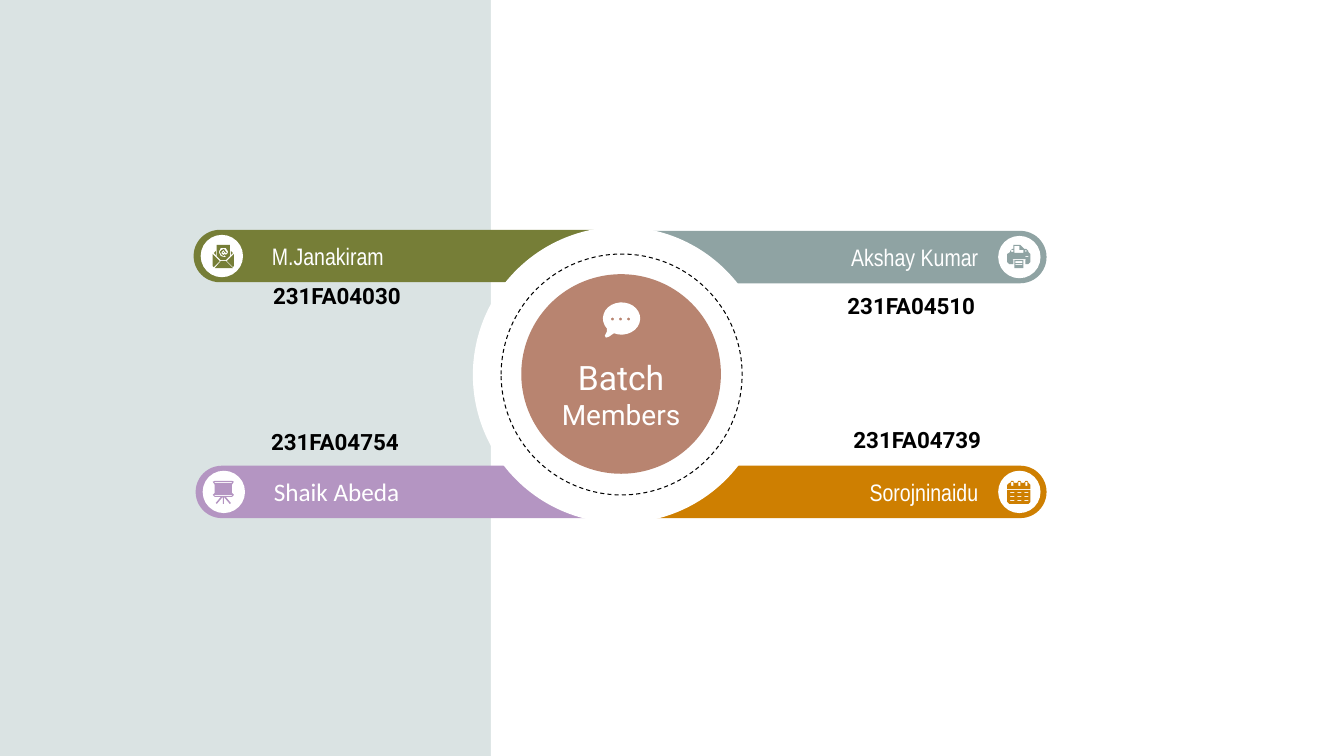
from math import cos, radians, sin

from pptx import Presentation
from pptx.dml.color import RGBColor
from pptx.enum.dml import MSO_LINE
from pptx.enum.shapes import MSO_SHAPE
from pptx.enum.text import MSO_ANCHOR, PP_ALIGN
from pptx.util import Inches, Pt

COLORS = {"mist": "DAE3E3", "white": "FFFFFF", "black": "000000",
          "olive": "767E37", "lilac": "B495C2", "sage": "8FA3A3",
          "amber": "CE7F01", "clay": "B88470"}
RECT, ROUND, OVAL = MSO_SHAPE.RECTANGLE, MSO_SHAPE.ROUNDED_RECTANGLE, MSO_SHAPE.OVAL
LEFT, RIGHT, CENTER = PP_ALIGN.LEFT, PP_ALIGN.RIGHT, PP_ALIGN.CENTER


def block(x, y, w, h):
    return [(x, y), (x + w, y), (x + w, y + h), (x, y + h)]


def arc(x, y, w, h, start=0, sweep=360, steps=8):
    angles = [radians(start + sweep * i / steps) for i in range(steps + 1)]
    return [(x + w / 2 * (1 + cos(a)), y + h / 2 * (1 + sin(a))) for a in angles]


class Deck:
    def __init__(self, prs):
        self.s = prs.slides.add_slide(prs.slide_layouts[6])

    def color(self, name):
        return RGBColor.from_string(COLORS[name])

    def background(self, name):
        fill = self.s.background.fill
        fill.solid()
        fill.fore_color.rgb = self.color(name)

    def paint(self, sp, fill):
        sp.shadow.inherit = False
        sp.line.fill.background()
        if fill:
            sp.fill.solid()
            sp.fill.fore_color.rgb = self.color(fill)
        else:
            sp.fill.background()
        return sp

    def shape(self, kind, box, fill, adj=None):
        sp = self.s.shapes.add_shape(kind, *map(Inches, box))
        if adj is not None:
            sp.adjustments[0] = adj
        return self.paint(sp, fill)

    def outline(self, fill, *contours):
        """Draw one freeform; contours inside another become holes."""
        grids = [[(round(x * 1000), round(y * 1000)) for x, y in c] for c in contours]
        fb = self.s.shapes.build_freeform(*grids[0][0], scale=Inches(1) / 1000)
        for i, grid in enumerate(grids):
            if i:
                fb.move_to(*grid[0])
            fb.add_line_segments(grid[1:], close=True)
        return self.paint(fb.convert_to_shape(), fill)

    def text(self, sp, lines, font, color, align, insets=(0.1, 0.1, 0.1, 0.1), bold=False):
        tf = sp.text_frame
        tf.word_wrap = True
        tf.vertical_anchor = MSO_ANCHOR.MIDDLE
        tf.margin_left, tf.margin_top, tf.margin_right, tf.margin_bottom = map(Inches, insets)
        for i, (words, size) in enumerate(lines):
            p = tf.add_paragraph() if i else tf.paragraphs[0]
            p.text, p.alignment = words, align
            p.font.name, p.font.size, p.font.bold = font, Pt(size), bold
            p.font.color.rgb = self.color(color)

    def member(self, name, number, x, y, fill, align, number_box, font="Arial Narrow", size=17):
        bar = self.shape(ROUND, (x, y, 4.22, 0.52), fill, 0.5)
        insets = (0.7, 0.1, 0.1, 0.1) if align == LEFT else (0.1, 0.1, 0.6, 0.1)
        self.text(bar, [(name, size)], font, "white", align, insets)
        tb = self.s.shapes.add_textbox(*map(Inches, number_box))
        self.text(tb, [(number, 16)], "Roboto", "black", align, bold=True)
        badge_x = x + 0.07 if align == LEFT else x + 3.74
        self.shape(OVAL, (badge_x, y + 0.05, 0.42, 0.42), "white")

    def printer(self, color):
        self.outline(color, block(10.06, 2.58, 0.09, 0.08),
                     block(10.07, 2.59, 0.07, 0.02), block(10.07, 2.62, 0.07, 0.01))
        body = [(10.05, 2.43), (10.12, 2.43), (10.16, 2.47), (10.18, 2.47), (10.2, 2.49),
                (10.2, 2.5), (10.22, 2.52), (10.22, 2.6), (10.2, 2.62), (10.17, 2.62),
                (10.17, 2.58), (10.18, 2.57), (10.04, 2.57), (10.05, 2.58), (10.05, 2.62),
                (10.01, 2.62), (9.99, 2.6), (9.99, 2.52), (10.02, 2.5), (10.02, 2.49),
                (10.04, 2.47), (10.05, 2.47)]
        sheet = [(10.06, 2.44), (10.11, 2.44), (10.11, 2.48), (10.15, 2.48),
                 (10.15, 2.51), (10.06, 2.51)]
        self.outline(color, body, sheet, block(10.03, 2.48, 0.02, 0.02),
                     block(10.17, 2.48, 0.01, 0.02), block(10.17, 2.54, 0.03, 0.01))

    def calendar(self, color):
        page = [(9.99, 4.86), (10.22, 4.86), (10.22, 4.98), (10.2, 5), (10.01, 5), (9.99, 4.98)]
        days = [block(10.02 + 0.07 * col, 4.88 + 0.04 * row, 0.04, 0.01)
                for row in range(3) for col in range(3)]
        self.outline(color, page, *days)
        top, slots = [(9.99, 4.85), (9.99, 4.81), (10.01, 4.79)], []
        for x in (10.02, 10.09, 10.16):
            top += [(x, 4.79), (x + 0.01, 4.77), (x + 0.03, 4.77), (x + 0.04, 4.79)]
            slots.append(block(x + 0.01, 4.78, 0.02, 0.04))
        self.outline(color, top + [(10.22, 4.81), (10.22, 4.85)], *slots)

    def easel(self, color):
        frame = [(2.13, 4.77), (2.3, 4.77), (2.32, 4.78), (2.3, 4.81), (2.3, 4.89),
                 (2.32, 4.91), (2.3, 4.93), (2.24, 4.93), (2.29, 4.99), (2.28, 5),
                 (2.22, 4.93), (2.22, 5), (2.21, 5), (2.21, 4.93), (2.15, 5), (2.14, 4.99),
                 (2.19, 4.93), (2.13, 4.93), (2.11, 4.91), (2.13, 4.89), (2.13, 4.81),
                 (2.11, 4.78)]
        self.outline(color, frame, *[block(2.13, y, 0.17, 0.01) for y in (4.78, 4.91)])

    def envelope(self, color):
        for part in (
                [(2.11, 2.52), (2.11, 2.64), (2.12, 2.65), (2.18, 2.59)],
                [(2.32, 2.52), (2.25, 2.59), (2.31, 2.65), (2.32, 2.64)],
                arc(2.21, 2.5, 0.01, 0.01),
                [(2.19, 2.59), (2.13, 2.66), (2.31, 2.66), (2.24, 2.59)],
                [(2.14, 2.49), (2.12, 2.51), (2.14, 2.53)],
                [(2.29, 2.49), (2.29, 2.53), (2.31, 2.51)]):
            self.outline(color, part)
        letter = [(2.15, 2.43), (2.28, 2.43), (2.28, 2.54), (2.24, 2.58), (2.19, 2.58),
                  (2.15, 2.54)]
        at_sign = [(2.22, 2.46), (2.24, 2.46), (2.26, 2.49), (2.26, 2.51), (2.24, 2.53),
                   (2.23, 2.52), (2.22, 2.53), (2.2, 2.52), (2.2, 2.5), (2.22, 2.48),
                   (2.22, 2.49), (2.24, 2.51), (2.25, 2.51), (2.23, 2.48), (2.22, 2.47),
                   (2.2, 2.48), (2.18, 2.5), (2.2, 2.53), (2.22, 2.54), (2.23, 2.53),
                   (2.24, 2.55), (2.22, 2.55), (2.19, 2.54), (2.17, 2.5), (2.19, 2.46)]
        self.outline(color, letter, at_sign)

    def chat_bubble(self, color):
        bubble = arc(5.98, 3, 0.37, 0.32, start=141, sweep=333, steps=24)
        tail = [(6.04, 3.34), (6.01, 3.35), (6, 3.33), (6.02, 3.29)]
        dots = [arc(6.06 + 0.08 * i, 3.15, 0.03, 0.03) for i in range(3)]
        self.outline(color, bubble + tail, *dots)


def main():
    prs = Presentation()
    prs.slide_width, prs.slide_height = Inches(13.33), Inches(7.5)
    d = Deck(prs)

    # Two-tone backdrop
    d.background("mist")
    d.shape(RECT, (4.87, 0, 8.46, 7.5), "white")

    # Member bars with badges and numbers
    d.member("M.Janakiram", "231FA04030", 1.92, 2.28, "olive", LEFT, (2.61, 2.41, 1.86, 1.05))
    d.member("Shaik Abeda", "231FA04754", 1.94, 4.62, "lilac", LEFT, (2.59, 3.86, 1.82, 1.05),
             "Calibri", 18)
    d.member("Akshay Kumar", "231FA04510", 6.16, 2.29, "sage", RIGHT, (7.85, 2.51, 1.92, 1.05))
    d.member("Sorojninaidu", "231FA04739", 6.16, 4.62, "amber", RIGHT, (7.93, 3.82, 1.9, 1.08))

    # Badge icons
    d.printer("sage")
    d.calendar("amber")
    d.easel("lilac")
    d.envelope("olive")

    # Central hub
    d.shape(OVAL, (4.69, 2.25, 2.94, 2.94), "white")
    ring = d.shape(OVAL, (4.97, 2.52, 2.39, 2.39), None)
    ring.line.color.rgb = d.color("black")
    ring.line.width = Pt(0.75)
    ring.line.dash_style = MSO_LINE.DASH
    hub = d.shape(OVAL, (5.17, 2.72, 1.98, 1.98), "clay")
    d.text(hub, [("Batch", 24), ("Members", 20)], "Roboto", "white", CENTER,
           (0.1, 0.5, 0.1, 0.1))
    d.chat_bubble("white")

    prs.save("out.pptx")


if __name__ == "__main__":
    main()
